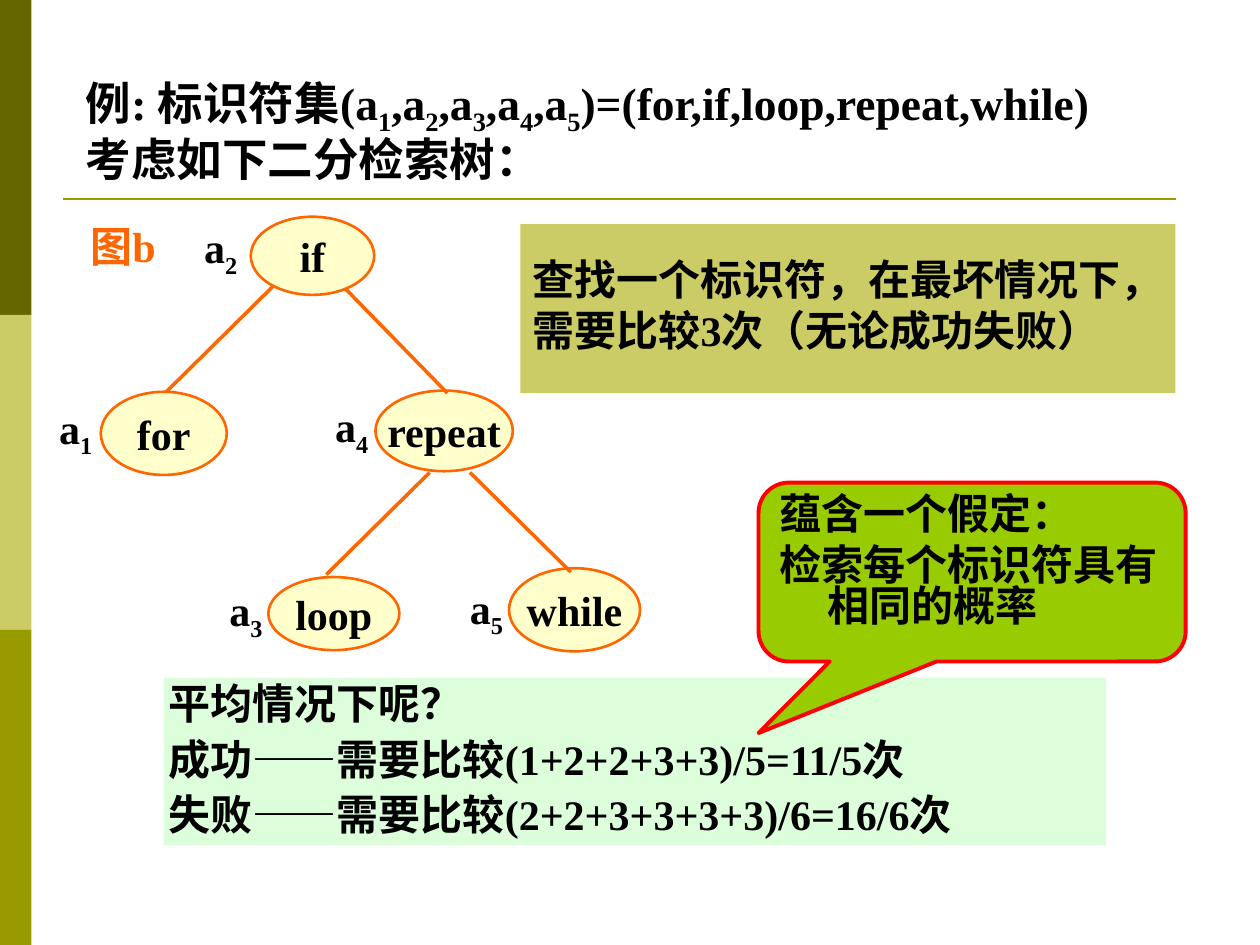
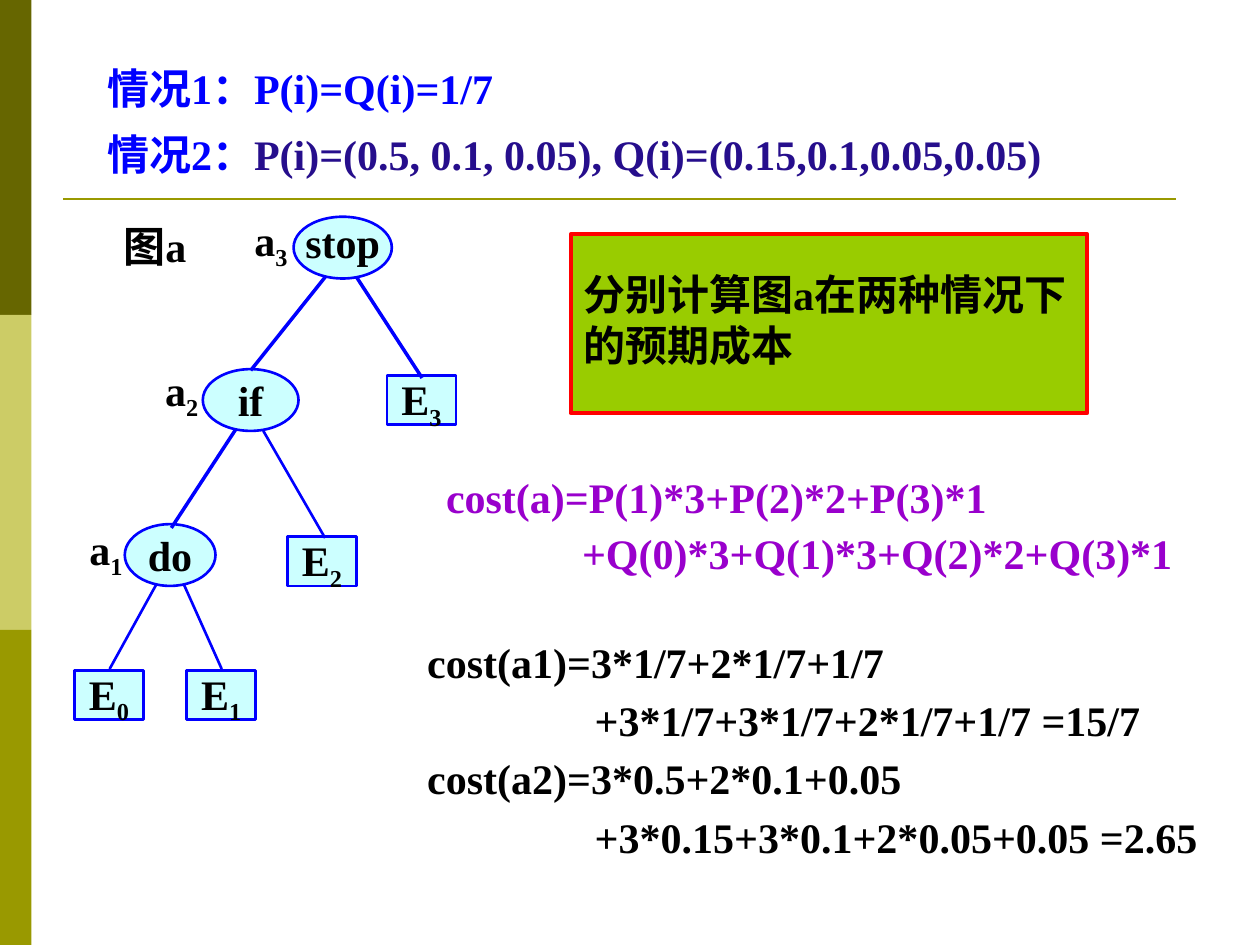
from lxml.etree import SubElement
from pptx import Presentation
from pptx.dml.color import RGBColor
from pptx.enum.shapes import MSO_CONNECTOR as Connector, MSO_SHAPE as Shape
from pptx.enum.text import MSO_ANCHOR as Anchor, MSO_AUTO_SIZE as AutoSize, PP_ALIGN as Align
from pptx.oxml.ns import qn
from pptx.util import Pt

PX = 9144  # EMU per px, 100 px to the inch
FONT = "Times New Roman"
BLACK, RED, ORANGE, BLUE = "000000", "FF0000", "FF6600", "0000FF"
NAVY, PURPLE, LIME = "260E8C", "9900CC", "99CC00"
CREAM, SKY, MINT = "FFFFCC", "CCFFFF", "DDFEDA"
DARK_OLIVE, PALE_OLIVE, OLIVE = "666600", "CCCC66", "999900"
NARROW, WIDE = (4, 4), (10, 5)  # text margins: sides, top and bottom


def rgb(color):
    return RGBColor.from_string(color)


def emu(*lengths):
    return [length * PX for length in lengths]


def add_runs(paragraph, text, size, color):
    """Add text in which the character after each underscore is a subscript."""
    plain, *marked = text.split("_")
    pieces = [(plain, False)]
    for part in marked:
        pieces += [(part[0], True), (part[1:], False)]
    for piece, lowered in pieces:
        if not piece:
            continue
        run = paragraph.add_run()
        run.text = piece
        run.font.name, run.font.size, run.font.bold = FONT, Pt(size), True
        run.font.color.rgb = rgb(color)
        if lowered:
            run.font._element.set("baseline", "-25000")


def write(shape, lines, size=24, color=BLACK, spacing=1.0, before=0, align=Align.LEFT,
          margins=NARROW, anchor=Anchor.TOP, wrap=True, hanging=0, indents=None):
    """Fill a shape with lines; a line is a string or a list of (text, color) parts."""
    frame = shape.text_frame
    frame.auto_size, frame.word_wrap, frame.vertical_anchor = AutoSize.NONE, wrap, anchor
    frame.margin_left = frame.margin_right = margins[0] * PX
    frame.margin_top = frame.margin_bottom = margins[1] * PX
    for i, line in enumerate(lines):
        paragraph = frame.paragraphs[0] if i == 0 else frame.add_paragraph()
        paragraph.alignment, paragraph.line_spacing = align, spacing
        paragraph.space_before = Pt(before)
        properties = paragraph._p.get_or_add_pPr()
        left = indents[i] if indents else hanging
        properties.set("marL", str(left * PX))
        properties.set("indent", str(-hanging * PX))
        SubElement(properties, qn("a:buNone"))
        for text, part_color in [(line, color)] if isinstance(line, str) else line:
            add_runs(paragraph, text, size, part_color)


def add_block(slide, kind, box, fill, line=None, weight=1.5):
    block = slide.shapes.add_shape(kind, *emu(*box))
    block.shadow.inherit = False
    block.fill.solid()
    block.fill.fore_color.rgb = rgb(fill)
    if line:
        block.line.color.rgb = rgb(line)
        block.line.width = Pt(weight)
    else:
        block.line.fill.background()
    return block


def add_line(slide, ends, color, weight):
    line = slide.shapes.add_connector(Connector.STRAIGHT, *emu(*ends))
    line.line.color.rgb = rgb(color)
    line.line.width = Pt(weight)
    SubElement(line._element.spPr, qn("a:effectLst"))


def add_text(slide, box, lines, **style):
    write(slide.shapes.add_textbox(*emu(*box)), lines, **style)


def fill_placeholder(placeholder, box, lines, **style):
    placeholder.left, placeholder.top, placeholder.width, placeholder.height = emu(*box)
    write(placeholder, lines, **style)


def add_titled_slide(deck, title_box, title_lines, **title_style):
    """Start a slide with the side bands, the rule and the title they share."""
    slide = deck.slides.add_slide(deck.slide_layouts[1])
    for i, color in enumerate((DARK_OLIVE, PALE_OLIVE, OLIVE)):
        add_block(slide, Shape.RECTANGLE, (0, 250 * i, 25, 250), color)
    add_line(slide, (50, 158, 933, 158), OLIVE, 1.5)
    fill_placeholder(slide.shapes.title, title_box, title_lines, spacing=0.8, **title_style)
    return slide


def draw_tree(slide, origin, caption, caption_color, fill, line, nodes, edges, leaves=()):
    """Draw a search tree; all places are relative to its origin."""
    x0, y0 = origin

    def placed(x, y, w, h):
        return x0 + x, y0 + y, w, h

    caption_box, caption_text = caption
    add_text(slide, placed(*caption_box), [caption_text], color=caption_color,
             margins=WIDE, wrap=False)
    for word, box, spacing, key, (key_x, key_y) in nodes:
        write(add_block(slide, Shape.OVAL, placed(*box), fill, line), [word], spacing=spacing,
              align=Align.CENTER, margins=WIDE, anchor=Anchor.MIDDLE, wrap=False)
        add_text(slide, placed(key_x, key_y, 43, 40), [key], spacing=0.7, before=15)
    for name, x, y in leaves:
        write(add_block(slide, Shape.RECTANGLE, placed(x, y, 55, 39), fill, line), [name],
              spacing=0.9, align=Align.CENTER, anchor=Anchor.MIDDLE, wrap=False)
    for x1, y1, x2, y2, weight in edges:
        add_line(slide, (x0 + x1, y0 + y1, x0 + x2, y0 + y2), line, weight)


def add_note(slide, kind, box, lines, fill, line=None, **style):
    note = add_block(slide, kind, box, fill, line, 2.25)
    write(note, lines, spacing=0.8, before=6, margins=WIDE, hanging=38, **style)
    return note


def build_comparison_slide(deck):
    slide = add_titled_slide(
        deck, (64, 60, 909, 91),
        ["例: 标识符集(a_1,a_2,a_3,a_4,a_5)=(for,if,loop,repeat,while)", "考虑如下二分检索树："],
        size=26, before=6.5)
    average = slide.placeholders[1]
    average.fill.solid()
    average.fill.fore_color.rgb = rgb(MINT)
    fill_placeholder(average, (130, 538, 748, 133),
                     ["平均情况下呢？",
                      "成功——需要比较(1+2+2+3+3)/5=11/5次",
                      "失败——需要比较(2+2+3+3+3+3)/6=16/6次"],
                     spacing=0.9, before=6)
    draw_tree(
        slide, (43, 170), ((19, 0, 80, 50), "图b"), ORANGE, CREAM, ORANGE,
        nodes=[("if", (156, 2, 98, 62), 1.0, "a_2", (115, 10)),
               ("for", (37, 141, 100, 66), 1.0, "a_1", (0, 153)),
               ("while", (361, 281, 104, 66), 1.0, "a_5", (326, 296)),
               ("loop", (170, 288, 104, 58), 1.0, "a_3", (135, 298)),
               ("repeat", (255, 140, 109, 64), 1.0, "a_4", (219, 152))],
        edges=[(174, 57, 89, 141, 2), (231, 59, 312, 142, 2),
               (298, 205, 216, 286, 2), (330, 205, 410, 284, 2)])
    add_note(slide, Shape.RECTANGLE, (413, 178, 520, 134),
             ["查找一个标识符，在最坏情况下，", "需要比较3次（无论成功失败）"],
             PALE_OLIVE, anchor=Anchor.MIDDLE, wrap=False)
    assumption = add_note(slide, Shape.ROUNDED_RECTANGULAR_CALLOUT, (602, 383, 339, 142),
                          ["蕴含一个假定：", "检索每个标识符具有相同的概率"], LIME, RED)
    for i, value in enumerate((-0.5, 0.9, 0.17)):
        assumption.adjustments[i] = value


def build_cost_slide(deck):
    slide = add_titled_slide(
        deck, (75, 52, 795, 95),
        ["情况1：P(i)=Q(i)=1/7",
         [("情况2：", BLUE), ("P(i)=(0.5, 0.1, 0.05), Q(i)=(0.15,0.1,0.05,0.05)", NAVY)]],
        color=BLUE, before=15, margins=WIDE, hanging=38)
    draw_tree(
        slide, (59, 170), ((29, 0, 78, 50), "图a"), BLACK, SKY, BLUE,
        nodes=[("do", (40, 246, 72, 49), 1.0, "a_1", (8, 249)),
               ("if", (102, 123, 76, 49), 1.0, "a_2", (68, 123)),
               ("stop", (174, 2, 78, 49), 0.7, "a_3", (139, 4))],
        leaves=[("E_3", 248, 128), ("E_0", 0, 362), ("E_1", 89, 362), ("E_2", 169, 256)],
        edges=[(128, 171, 77, 249, 2), (224, 50, 276, 130, 2), (199, 50, 140, 124, 2),
               (65, 294, 28, 361, 1.5), (87, 294, 117, 361, 1.5), (150, 172, 199, 257, 1.5)])
    add_text(slide, (350, 375, 596, 88),
             ["cost(a)=P(1)*3+P(2)*2+P(3)*1", "+Q(0)*3+Q(1)*3+Q(2)*2+Q(3)*1"],
             color=PURPLE, spacing=0.9, before=6, indents=(0, 108))
    fill_placeholder(slide.placeholders[1], (335, 501, 624, 187),
                     ["cost(a1)=3*1/7+2*1/7+1/7",
                      "+3*1/7+3*1/7+2*1/7+1/7 =15/7",
                      "cost(a2)=3*0.5+2*0.1+0.05",
                      "+3*0.15+3*0.1+2*0.05+0.05 =2.65"],
                     before=4.5, indents=(0, 133, 0, 133))
    add_note(slide, Shape.RECTANGLE, (453, 186, 410, 142),
             ["分别计算图a在两种情况下", "的预期成本"], LIME, RED,
             anchor=Anchor.MIDDLE, wrap=False)


def main():
    deck = Presentation()
    deck.slide_width, deck.slide_height = emu(1000, 750)
    build_comparison_slide(deck)
    build_cost_slide(deck)
    deck.save("out.pptx")


if __name__ == "__main__":
    main()
